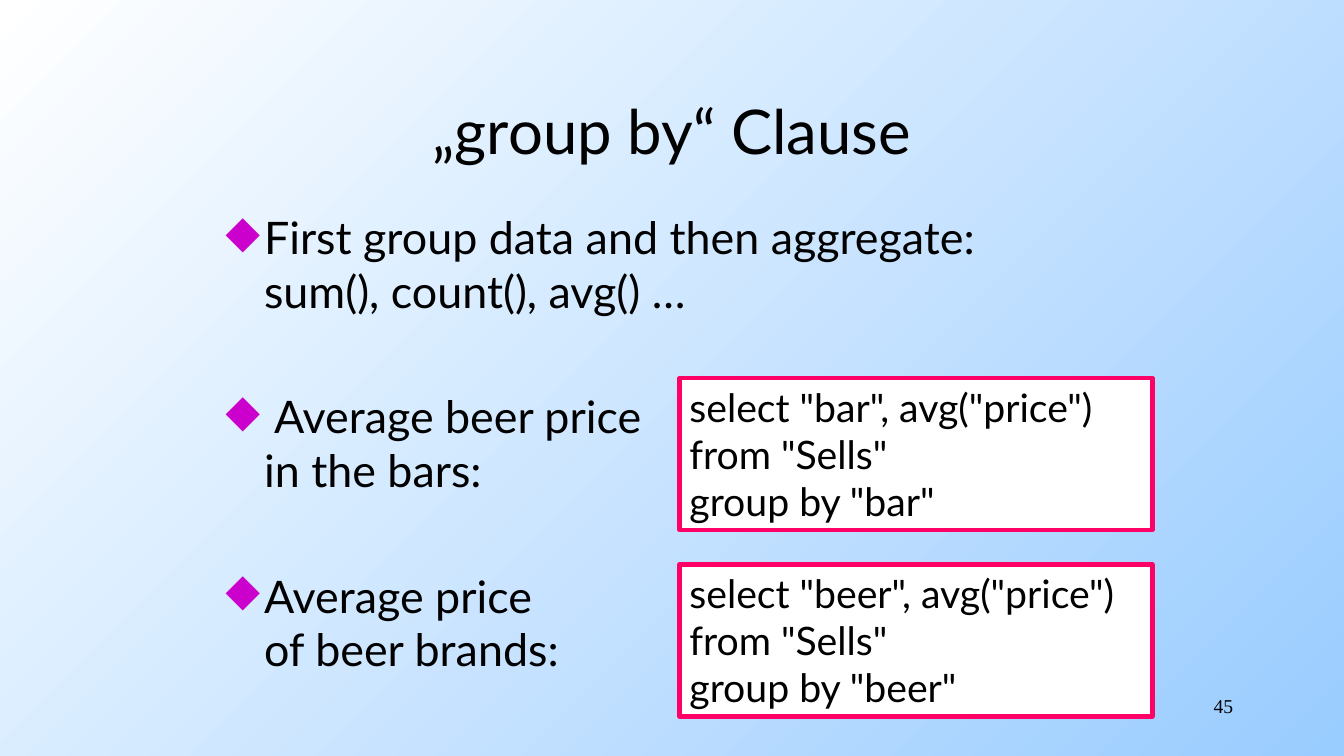
from lxml.etree import SubElement
from pptx import Presentation
from pptx.dml.color import RGBColor
from pptx.enum.shapes import MSO_SHAPE as Shape
from pptx.enum.text import MSO_ANCHOR as Anchor, PP_ALIGN as Align
from pptx.oxml.ns import qn
from pptx.util import Inches, Pt

BLACK = RGBColor(0x00, 0x00, 0x00)
WHITE = RGBColor(0xFF, 0xFF, 0xFF)
SKY = RGBColor(0x99, 0xCC, 0xFF)
PINK = RGBColor(0xFF, 0x00, 0x66)
PURPLE = RGBColor(0xCC, 0x00, 0xCC)

COLUMNS, ROWS = 160, 90
INDENT = Inches(0.38)

BULLETS = [
    "First group data and then aggregate:\vsum(), count(), avg() …",
    " Average beer price \vin the bars:",
    "Average price \vof beer brands:",
]
QUERIES = ["bar", "beer"]


class SlideBuilder:
    """Draws styled elements on one slide, placed on a grid of 160 by 90 cells."""

    def __init__(self, deck, font="Lato"):
        self.slide = deck.slides.add_slide(deck.slide_layouts[6])
        self.column = deck.slide_width / COLUMNS
        self.row = deck.slide_height / ROWS
        self.font = font

    def place(self, left, top, width, height):
        return (round(left * self.column), round(top * self.row),
                round(width * self.column), round(height * self.row))

    def background(self, start, end, angle):
        fill = self.slide.background.fill
        fill.gradient()
        fill.gradient_angle = angle
        for stop, color in zip(fill.gradient_stops, (start, end)):
            stop.color.rgb = color

    def set_text(self, box, lines, size, align=Align.LEFT, anchor=Anchor.TOP, font=None):
        frame = box.text_frame
        frame.word_wrap = True
        frame.vertical_anchor = anchor
        frame.text = "\n".join(lines)
        for para in frame.paragraphs:
            para.alignment = align
            for span in para.runs:
                span.font.name = font or self.font
                span.font.size = Pt(size)
                span.font.color.rgb = BLACK
        return frame.paragraphs

    def text(self, cells, lines, size, **style):
        box = self.slide.shapes.add_textbox(*self.place(*cells))
        return self.set_text(box, lines, size, **style)

    def bullets(self, cells, lines, size, gap):
        for number, para in enumerate(self.text(cells, lines, size)):
            para.space_before = Pt(gap if number else 0)
            properties = para._p.get_or_add_pPr()
            properties.set("marL", str(INDENT))
            properties.set("indent", str(-INDENT))
            color = SubElement(properties, qn("a:buClr"))
            SubElement(color, qn("a:srgbClr"), val=str(PURPLE))
            SubElement(properties, qn("a:buChar"), char="◆")

    def code_box(self, cells, lines, size):
        box = self.slide.shapes.add_shape(Shape.RECTANGLE, *self.place(*cells))
        box.shadow.inherit = False
        box.fill.solid()
        box.fill.fore_color.rgb = WHITE
        box.line.color.rgb = PINK
        box.line.width = Pt(3)
        self.set_text(box, lines, size)


def main():
    deck = Presentation()
    deck.slide_width, deck.slide_height = Inches(13.33), Inches(7.5)
    page = SlideBuilder(deck)
    page.background(WHITE, SKY, 315)
    page.bullets((25.7, 24.4, 108.7, 61.9), BULLETS, size=32, gap=51.2)
    page.text((12, 8, 136, 15), ["„group by“ Clause"], 44,
              align=Align.CENTER, anchor=Anchor.MIDDLE)
    page.text((114.7, 82, 33.3, 6), ["45"], 14,
              align=Align.RIGHT, font="Times New Roman")
    for number, field in enumerate(QUERIES):
        query = [f'select "{field}", avg("price") from "Sells"', f'group by "{field}"']
        page.code_box((80.9, 45 + 22.2 * number, 56.3, 18.1), query, 28)
    deck.save("out.pptx")


if __name__ == "__main__":
    main()
